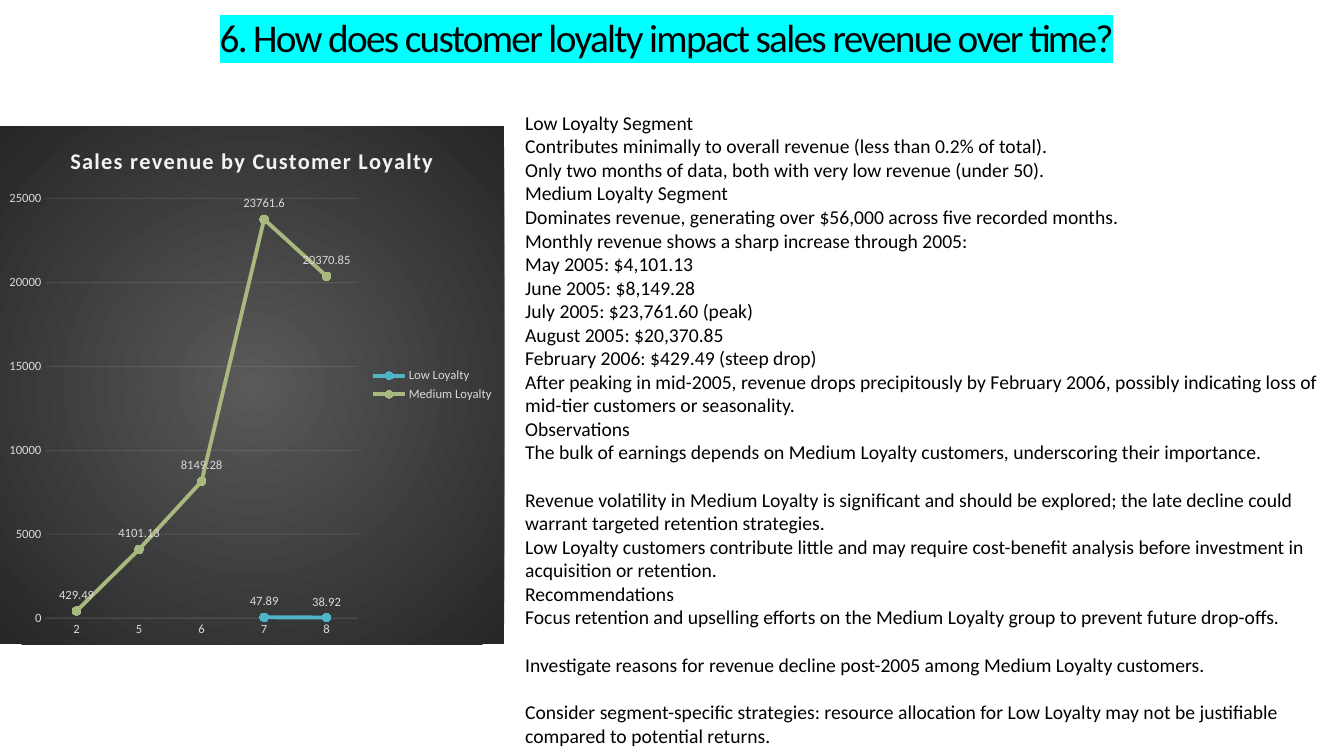
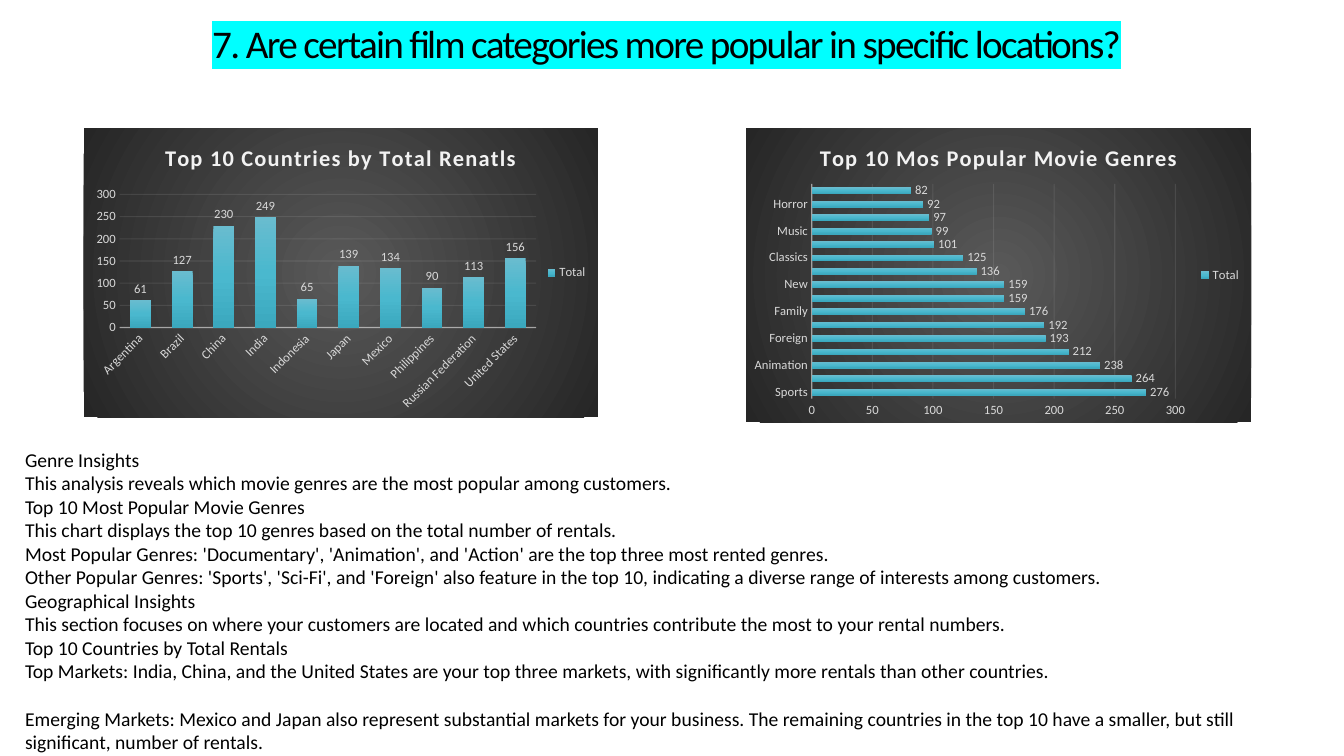
from pptx import Presentation
from pptx.chart.data import CategoryChartData
from pptx.dml.color import RGBColor
from pptx.enum.chart import (
    XL_CHART_TYPE as ChartType,
    XL_LABEL_POSITION as LabelPosition,
    XL_LEGEND_POSITION as LegendPosition,
    XL_MARKER_STYLE as MarkerStyle,
    XL_TICK_MARK as TickMark,
)
from pptx.enum.text import MSO_ANCHOR as Anchor, MSO_AUTO_SIZE as AutoSize, PP_ALIGN as Align
from pptx.oxml import parse_xml
from pptx.oxml.ns import nsdecls
from pptx.util import Inches, Pt

FONT = "Calibri"
BLACK = "000000"
PALE = "F2F2F2"
LABEL = "D9D9D9"
HIGHLIGHT = "00FFFF"
LINE_COLORS = [("50B4C8", "4AB8CE"), ("A8B97F", "A9BC7C")]
PANEL_STOPS = [(0, "595959"), (100, "262626")]
BAR_STOPS = [(0, "69BCCF"), (50, "4AB8CE"), (100, "3BA8BE")]
RADIAL = '<a:path path="circle"><a:fillToRect l="50000" t="50000" r="50000" b="50000"/></a:path>'
DOWNWARD = '<a:lin ang="5400000" scaled="0"/>'

LOYALTY_NOTES = [
    "Low Loyalty Segment",
    "Contributes minimally to overall revenue (less than 0.2% of total).",
    "Only two months of data, both with very low revenue (under 50).",
    "Medium Loyalty Segment",
    "Dominates revenue, generating over $56,000 across five recorded months.",
    "Monthly revenue shows a sharp increase through 2005:",
    "May 2005: $4,101.13",
    "June 2005: $8,149.28",
    "July 2005: $23,761.60 (peak)",
    "August 2005: $20,370.85",
    "February 2006: $429.49 (steep drop)",
    "After peaking in mid-2005, revenue drops precipitously by February 2006, possibly indicating loss of mid-tier customers or seasonality.",
    "Observations",
    "The bulk of earnings depends on Medium Loyalty customers, underscoring their importance.",
    "Revenue volatility in Medium Loyalty is significant and should be explored; the late decline could warrant targeted retention strategies.",
    "Low Loyalty customers contribute little and may require cost-benefit analysis before investment in acquisition or retention.",
    "Recommendations",
    "Focus retention and upselling efforts on the Medium Loyalty group to prevent future drop-offs.",
    "Investigate reasons for revenue decline post-2005 among Medium Loyalty customers.",
    "Consider segment-specific strategies: resource allocation for Low Loyalty may not be justifiable compared to potential returns.",
]
FILM_NOTES = [
    "Genre Insights",
    "This analysis reveals which movie genres are the most popular among customers.",
    "Top 10 Most Popular Movie Genres",
    "This chart displays the top 10 genres based on the total number of rentals.",
    "Most Popular Genres: 'Documentary', 'Animation', and 'Action' are the top three most rented genres.",
    "Other Popular Genres: 'Sports', 'Sci-Fi', and 'Foreign' also feature in the top 10, indicating a diverse range of interests among customers.",
    "Geographical Insights",
    "This section focuses on where your customers are located and which countries contribute the most to your rental numbers.",
    "Top 10 Countries by Total Rentals",
    "Top Markets: India, China, and the United States are your top three markets, with significantly more rentals than other countries.",
    "Emerging Markets: Mexico and Japan also represent substantial markets for your business. The remaining countries in the top 10 have a smaller, but still significant, number of rentals.",
]
LOYALTY = {
    "Low Loyalty": [None, None, None, 47.89, 38.92],
    "Medium Loyalty": [429.49, 4101.13, 8149.28, 23761.6, 20370.85],
}
RENTALS = {
    "Argentina": 61, "Brazil": 127, "China": 230, "India": 249, "Indonesia": 65,
    "Japan": 139, "Mexico": 134, "Philippines": 90, "Russian Federation": 113,
    "United States": 156,
}
GENRES = {
    "Sports": 276, "Sci-Fi": 264, "Animation": 238, "Action": 212, "Foreign": 193,
    "Documentary": 192, "Family": 176, "Drama": 159, "New": 159, "Games": 136,
    "Classics": 125, "Comedy": 101, "Music": 99, "Children": 97, "Horror": 92,
    "Travel": 82,
}


def rgb(value):
    return RGBColor.from_string(value)


def place(box):
    return [Inches(length) for length in box]


def style_font(font, size, color, bold=False):
    font.name = FONT
    font.size = Pt(size)
    font.bold = bold
    font.color.rgb = rgb(color)


def gradient_xml(stops, direction):
    marks = "".join(
        f'<a:gs pos="{position * 1000}"><a:srgbClr val="{color}"/></a:gs>'
        for position, color in stops
    )
    return f'<a:gradFill {nsdecls("a")} rotWithShape="1"><a:gsLst>{marks}</a:gsLst>{direction}</a:gradFill>'


def draw_line(line, element, query, width, opacity):
    line.color.rgb = rgb(PALE)
    line.width = Pt(width)
    for color in element.xpath(query + "//a:srgbClr"):
        color.append(parse_xml(f'<a:alpha {nsdecls("a")} val="{opacity * 1000}"/>'))


def add_title_slide(presentation, text, height):
    slide = presentation.slides.add_slide(presentation.slide_layouts[5])
    title = slide.shapes.title
    title.left, title.top, title.width, title.height = place((0.72, 0, 11.78, height))
    frame = title.text_frame
    frame.auto_size = AutoSize.NONE
    frame.word_wrap = True
    frame.vertical_anchor = Anchor.TOP
    frame.margin_top = Inches(height / 2 - 0.62)
    paragraph = frame.paragraphs[0]
    paragraph.alignment = Align.CENTER
    paragraph.line_spacing = 0.85
    run = paragraph.add_run()
    run.text = text
    style_font(run.font, 28, BLACK)
    properties = run._r.get_or_add_rPr()
    properties.set("spc", "-120")
    properties.xpath("a:solidFill")[0].addnext(parse_xml(
        f'<a:highlight {nsdecls("a")}><a:srgbClr val="{HIGHLIGHT}"/></a:highlight>'))
    return slide


def add_notes(slide, box, lines, spaced):
    frame = slide.shapes.add_textbox(*place(box)).text_frame
    frame.word_wrap = True
    frame.auto_size = AutoSize.SHAPE_TO_FIT_TEXT
    for index, line in enumerate(lines):
        paragraph = frame.add_paragraph() if index else frame.paragraphs[0]
        paragraph.text = line
        style_font(paragraph.font, 14, BLACK)
        if index in spaced:
            paragraph.space_after = Pt(17)


def style_axes(chart, axis_width, axis_opacity):
    category, value = chart.category_axis, chart.value_axis
    for axis in (category, value):
        axis.major_tick_mark = axis.minor_tick_mark = TickMark.NONE
        style_font(axis.tick_labels.font, 9, LABEL)
    draw_line(category.format.line, chart.element, ".//c:catAx/c:spPr", axis_width, axis_opacity)
    value.has_major_gridlines = True
    value.format.line.fill.background()
    draw_line(value.major_gridlines.format.line, chart.element,
              ".//c:valAx/c:majorGridlines", 0.75, 10)


def set_plot_box(chart, plot_box):
    area = chart.element.xpath("c:chart/c:plotArea")[0]
    for layout in area.xpath("c:layout"):
        area.remove(layout)
    lengths = "".join(f'<c:{key} val="{value}"/>' for key, value in zip("xywh", plot_box))
    area.insert(0, parse_xml(
        f'<c:layout {nsdecls("c")}><c:manualLayout><c:layoutTarget val="inner"/>'
        f'<c:xMode val="edge"/><c:yMode val="edge"/>{lengths}</c:manualLayout></c:layout>'))


def add_dark_chart(slide, box, kind, heading, categories, series, plot_box,
                   label_position, axis_width=1, axis_opacity=54):
    data = CategoryChartData()
    data.categories = categories
    for name, values in series.items():
        data.add_series(name, values)
    chart = slide.shapes.add_chart(kind, *place(box), data).chart
    style_font(chart.font, 10, BLACK)
    chart.element.xpath("c:chart")[0].addnext(parse_xml(
        f'<c:spPr {nsdecls("c", "a")}>{gradient_xml(PANEL_STOPS, RADIAL)}'
        '<a:ln><a:noFill/></a:ln></c:spPr>'))
    chart.has_title = True
    chart.chart_title.include_in_layout = False
    paragraph = chart.chart_title.text_frame.paragraphs[0]
    run = paragraph.add_run()
    run.text = heading
    style_font(run.font, 16, PALE, True)
    run._r.get_or_add_rPr().set("spc", "100")
    chart.has_legend = True
    chart.legend.position = LegendPosition.RIGHT
    chart.legend.include_in_layout = False
    style_font(chart.legend.font, 9, LABEL)
    style_axes(chart, axis_width, axis_opacity)
    set_plot_box(chart, plot_box)
    chart.plots[0].vary_by_categories = False
    for item in chart.plots[0].series:
        labels = item.data_labels
        labels.show_value = True
        labels.position = label_position
        style_font(labels.font, 9, LABEL)
    return chart


def add_loyalty_chart(slide, box):
    chart = add_dark_chart(
        slide, box, ChartType.LINE_MARKERS, "Sales revenue by Customer Loyalty",
        ["2", "5", "6", "7", "8"], LOYALTY, (0.09, 0.14, 0.62, 0.81),
        LabelPosition.ABOVE, 0.75, 10)
    for series, (line_color, marker_color) in zip(chart.plots[0].series, LINE_COLORS):
        series.smooth = False
        series.format.line.color.rgb = rgb(line_color)
        series.format.line.width = Pt(2.75)
        marker = series.marker
        marker.style = MarkerStyle.CIRCLE
        marker.size = 6
        marker.format.fill.solid()
        marker.format.fill.fore_color.rgb = rgb(marker_color)
        marker.format.line.color.rgb = rgb(marker_color)


def add_total_chart(slide, box, kind, heading, totals, plot_box, gap, overlap):
    chart = add_dark_chart(slide, box, kind, heading, list(totals),
                           {"Total": list(totals.values())}, plot_box,
                           LabelPosition.OUTSIDE_END)
    plot = chart.plots[0]
    plot.gap_width = gap
    plot.overlap = overlap
    series = plot.series[0]
    series.invert_if_negative = False
    series.format.fill.gradient()
    fill = series._element.xpath("c:spPr/a:gradFill")[0]
    fill.getparent().replace(fill, parse_xml(gradient_xml(BAR_STOPS, DOWNWARD)))
    return chart


def build_loyalty_slide(presentation):
    slide = add_title_slide(
        presentation, "6. How does customer loyalty impact sales revenue over time?", 1.65)
    add_loyalty_chart(slide, (0, 1.25, 5, 5.14))
    add_notes(slide, (5.11, 1.05, 8.11, 6.46), LOYALTY_NOTES, {13, 17, 18})


def build_film_slide(presentation):
    slide = add_title_slide(
        presentation, "7. Are certain film categories more popular in specific locations?", 1.76)
    countries = add_total_chart(
        slide, (0.83, 1.27, 5.1, 2.87), ChartType.COLUMN_CLUSTERED,
        "Top 10 Countries by Total Renatls", RENTALS, (0.07, 0.23, 0.81, 0.46), 100, -24)
    countries.category_axis._element.xpath("c:txPr/a:bodyPr")[0].set("rot", "-2700000")
    add_total_chart(
        slide, (7.4, 1.27, 5.01, 2.92), ChartType.BAR_CLUSTERED,
        "Top 10 Mos Popular Movie Genres", GENRES, (0.13, 0.19, 0.72, 0.73), 115, -20)
    add_notes(slide, (0.15, 4.39, 13.06, 3.16), FILM_NOTES, {9})


def main():
    presentation = Presentation()
    presentation.slide_width = Inches(13.33)
    presentation.slide_height = Inches(7.5)
    build_loyalty_slide(presentation)
    build_film_slide(presentation)
    presentation.save("out.pptx")


if __name__ == "__main__":
    main()
